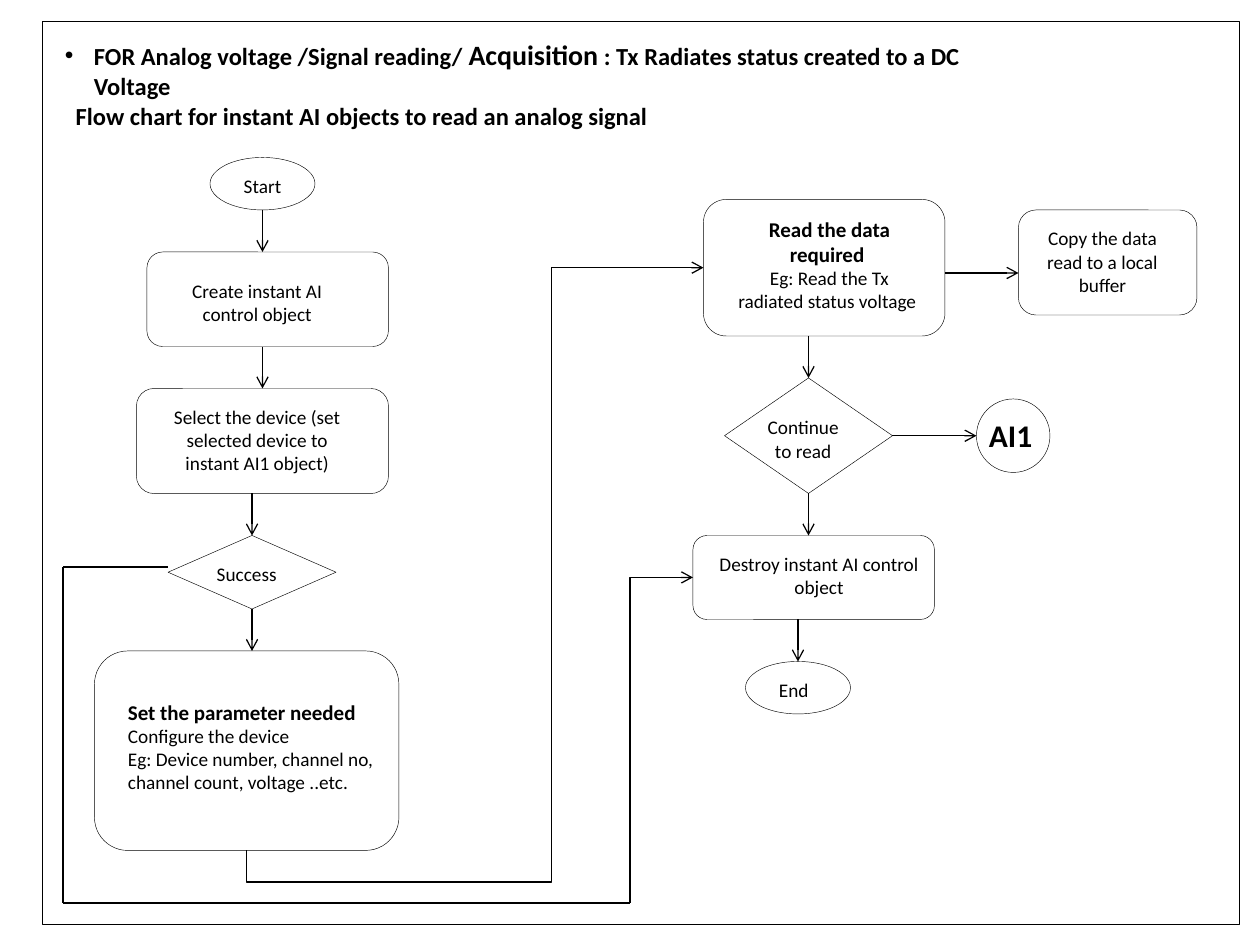
from dataclasses import dataclass

from lxml import etree
from pptx import Presentation
from pptx.dml.color import RGBColor
from pptx.enum.shapes import MSO_CONNECTOR, MSO_SHAPE
from pptx.enum.text import MSO_ANCHOR, MSO_AUTO_SIZE, PP_ALIGN
from pptx.oxml.ns import qn
from pptx.util import Inches, Pt

OVAL, ROUNDED = MSO_SHAPE.OVAL, MSO_SHAPE.ROUNDED_RECTANGLE
DECISION, RECTANGLE = MSO_SHAPE.FLOWCHART_DECISION, MSO_SHAPE.RECTANGLE
STRAIGHT, ELBOW = MSO_CONNECTOR.STRAIGHT, MSO_CONNECTOR.ELBOW
LEFT, CENTER = PP_ALIGN.LEFT, PP_ALIGN.CENTER
TOP, NO_FIT = MSO_ANCHOR.TOP, MSO_AUTO_SIZE.NONE
TITLE_ONLY = 5
COLUMNS, ROWS = 120, 90


@dataclass
class Theme:
    font: str = "Calibri"
    ink: RGBColor = RGBColor(0, 0, 0)
    body: int = 11
    lead: int = 12
    heading: int = 14
    emphasis: int = 16
    marker: int = 18
    outline: float = 0.25
    arrow: float = 0.75


class FlowPage:
    def __init__(self, deck, theme):
        self.theme = theme
        self.page = deck.slides.add_slide(deck.slide_layouts[TITLE_ONLY])
        self.column = deck.slide_width / COLUMNS
        self.row = deck.slide_height / ROWS
        self.sites = {}

    def place(self, left, top, width, height):
        return (round(left * self.column), round(top * self.row),
                round(width * self.column), round(height * self.row))

    def style(self, para, size, bold, align):
        para.alignment = align
        font = para.font
        font.name, font.size, font.bold = self.theme.font, Pt(size), bold
        font.color.rgb = self.theme.ink

    def title(self, text, area):
        holder = self.page.shapes.title
        holder.left, holder.top, holder.width, holder.height = self.place(*area)
        frame = holder.text_frame
        frame.text = text
        frame.vertical_anchor, frame.auto_size = TOP, NO_FIT
        self.style(frame.paragraphs[0], self.theme.heading, True, LEFT)

    def text_frame(self, area):
        frame = self.page.shapes.add_textbox(*self.place(*area)).text_frame
        frame.word_wrap = True
        return frame

    def bullet(self, spans, area):
        para = self.text_frame(area).paragraphs[0]
        properties = para._p.get_or_add_pPr()
        properties.set("marL", str(Inches(0.23)))
        properties.set("indent", str(-Inches(0.23)))
        etree.SubElement(properties, qn("a:buFont")).set("typeface", "Arial")
        etree.SubElement(properties, qn("a:buChar")).set("char", "•")
        self.style(para, self.theme.heading, True, LEFT)
        for text, size in spans:
            span = para.add_run()
            span.text = text
            span.font.size = Pt(size)

    def label(self, lines, area, align=CENTER):
        frame = self.text_frame(area)
        for index, (text, size, bold) in enumerate(lines):
            para = frame.add_paragraph() if index else frame.paragraphs[0]
            para.text = text
            self.style(para, size, bold, align)

    def outline(self, kind, area):
        shape = self.page.shapes.add_shape(kind, *self.place(*area))
        shape.shadow.inherit = False
        shape.fill.background()
        shape.line.color.rgb = self.theme.ink
        shape.line.width = Pt(self.theme.outline)
        if kind != OVAL:
            left, top, width, height = area
            middle, center = left + width / 2, top + height / 2
            sides = [(middle, top), (left, center),
                     (middle, top + height), (left + width, center)]
            self.sites.update({point: (shape, site) for site, point in enumerate(sides)})

    def connector(self, kind, begin, end, head):
        line = self.page.shapes.add_connector(kind, *self.place(*begin, *end))
        line.line.color.rgb = self.theme.ink
        line.line.width = Pt(self.theme.arrow)
        if head:
            etree.SubElement(line.line._get_or_add_ln(), qn("a:tailEnd")).set("type", "arrow")
        etree.SubElement(line._element.spPr, qn("a:effectLst"))
        return line

    def straight(self, begin, end, head=True):
        line = self.connector(STRAIGHT, begin, end, head)
        if begin in self.sites:
            line.begin_connect(*self.sites[begin])
        if end in self.sites:
            line.end_connect(*self.sites[end])

    def rising_elbow(self, begin, end, preset, bends=()):
        line = self.connector(ELBOW, begin, end, True)
        run, rise = line.width, line.height
        middle, center = line.left + run // 2, line.top + rise // 2
        line.left, line.top = middle - rise // 2, center - run // 2
        line.width, line.height = rise, run
        properties = line._element.spPr
        transform = properties.find(qn("a:xfrm"))
        for key, value in (("rot", "5400000"), ("flipH", "1"), ("flipV", "1")):
            transform.set(key, value)
        geometry = properties.find(qn("a:prstGeom"))
        geometry.set("prst", preset)
        guides = geometry.find(qn("a:avLst"))
        for index, share in enumerate(bends, 1):
            guide = etree.SubElement(guides, qn("a:gd"))
            guide.set("name", f"adj{index}")
            guide.set("fmla", f"val {round(share * 100000)}")


def main():
    deck = Presentation()
    deck.slide_width, deck.slide_height = Inches(10), Inches(7.5)
    theme = Theme()
    flow = FlowPage(deck, theme)

    flow.title("Flow chart for instant AI objects to read an analog signal", (6, 9, 64, 4))
    flow.bullet([
        ("FOR Analog voltage /Signal reading/ ", theme.heading),
        ("Acquisition", theme.emphasis),
        (" : Tx Radiates status created to a DC Voltage", theme.heading),
    ], (5, 3, 94, 4.4))

    outlines = [
        (OVAL, (20, 15, 10, 5)), (ROUNDED, (14, 24, 23, 9)),
        (ROUNDED, (13, 37, 24, 10)), (DECISION, (16, 51, 16, 7)),
        (ROUNDED, (9, 62, 29, 19)), (ROUNDED, (67, 19, 23, 13)),
        (ROUNDED, (97, 20, 17, 10)), (DECISION, (69, 36, 16, 11)),
        (OVAL, (93, 38, 7, 7)), (ROUNDED, (66, 51, 23, 8)),
        (OVAL, (71, 63, 10, 5)), (RECTANGLE, (4, 2, 114, 86)),
    ]
    for kind, area in outlines:
        flow.outline(kind, area)

    steps = [
        ("Start", (21, 16, 8, 3.5)),
        ("Create instant AI control object", (16, 26, 17, 5.6)),
        ("Select the device (set selected device to instant AI1 object)", (15, 38, 19, 7.8)),
        ("Success", (19, 53, 9, 3.5)),
        ("Copy the data read to a local buffer", (98, 21, 14, 7.8)),
        ("Continue to read", (71, 39, 11, 5.6)),
        ("Destroy instant AI control object", (67, 52, 22, 5.6)),
    ]
    for text, area in steps:
        flow.label([(text, theme.body, False)], area)
    flow.label([("End", theme.body, False)], (73, 64, 6, 3.5), LEFT)
    flow.label([("AI1", theme.marker, True)], (93, 39, 7, 4.8), LEFT)
    flow.label([
        ("Set the parameter needed", theme.lead, True),
        ("Configure the device", theme.body, False),
        ("Eg: Device number, channel no, channel count, voltage ..etc.", theme.body, False),
    ], (11, 66, 26, 10.2), LEFT)
    flow.label([
        ("Read the data required ", theme.lead, True),
        ("Eg: Read the Tx radiated status voltage ", theme.body, False),
    ], (69, 20, 20, 10.4))

    arrows = [
        ((25, 20), (25, 24)), ((25, 33), (25, 37)), ((24, 47), (24, 51)),
        ((24, 58), (24, 62)), ((77, 32), (77, 36)), ((77, 47), (77, 51)),
        ((76, 59), (76, 63)), ((90, 26), (97, 26)), ((85, 41.5), (93, 41.5)),
    ]
    for begin, end in arrows:
        flow.straight(begin, end)
    failure_route = [(16, 54), (6, 54), (6, 86), (60, 86)]
    for begin, end in zip(failure_route, failure_route[1:]):
        flow.straight(begin, end, head=False)
    flow.rising_elbow((60, 86), (66, 55), "bentConnector2")
    flow.rising_elbow((23.5, 81), (67, 25.5), "bentConnector4", (-0.054, 0.667))

    deck.save("out.pptx")


if __name__ == "__main__":
    main()
